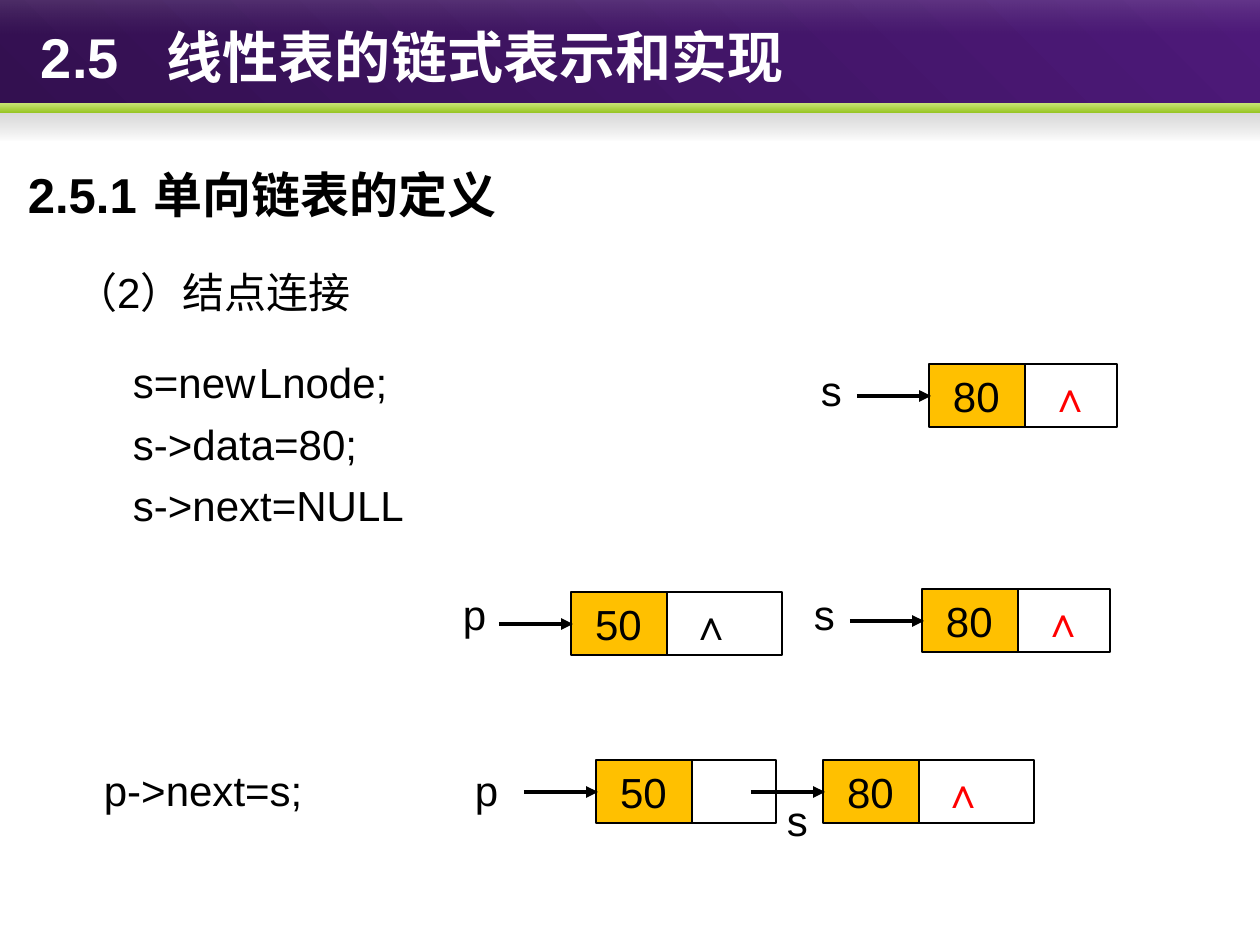
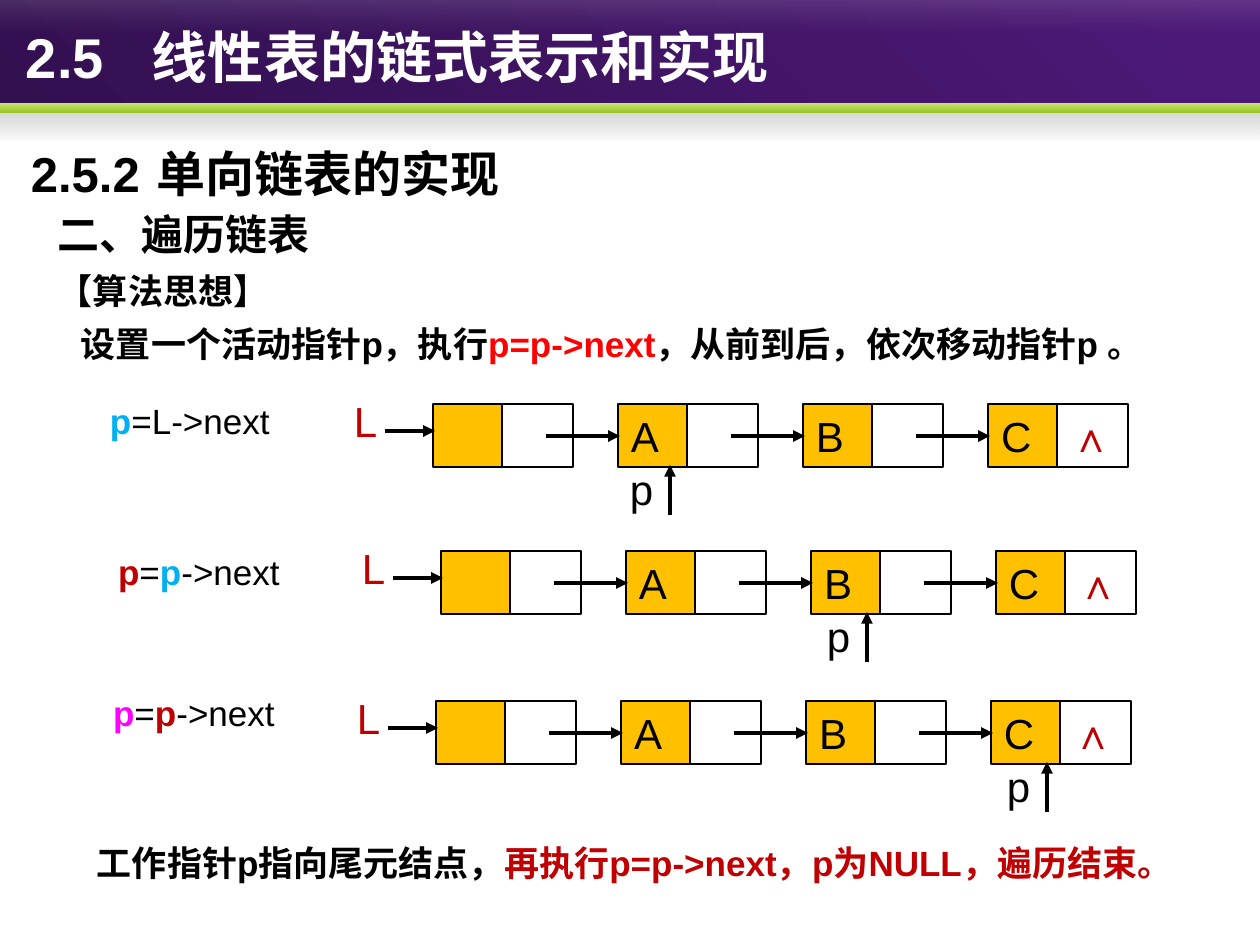
from lxml.etree import SubElement
from pptx import Presentation
from pptx.dml.color import RGBColor
from pptx.enum.shapes import MSO_CONNECTOR, MSO_SHAPE
from pptx.enum.text import MSO_ANCHOR, MSO_AUTO_SIZE, PP_ALIGN
from pptx.oxml.ns import qn
from pptx.util import Emu, Pt

COLORS = {
    "black": "000000", "white": "FFFFFF", "gold": "FFC000",
    "red": "FF0000", "dark red": "C00000", "blue": "00B0F0", "pink": "FF00FF",
    "purple start": "331050", "purple end": "4D1979",
    "green start": "C9E576", "green end": "97C523",
    "shade start": "808080", "shade end": "5C5C5C", "gloss end": "B6B6B6",
}
FONT = "Arial"
SLIDE_WIDTH, SLIDE_HEIGHT = 1260, 945
INSET = 13
CELL_HEIGHT = 63


def px(value):
    return Emu(round(value * 914400 / 126))


def rgb(name):
    return RGBColor.from_string(COLORS[name])


class Deck:
    def __init__(self):
        self.presentation = Presentation()
        self.presentation.slide_width = px(SLIDE_WIDTH)
        self.presentation.slide_height = px(SLIDE_HEIGHT)
        self.slide = None

    # Slide frame: header bands, title and section heading
    def new_slide(self, title_left, heading, heading_left, heading_top):
        layout = self.presentation.slide_layouts[5]
        self.slide = self.presentation.slides.add_slide(layout)
        self.band(0, 113, "purple start", "purple end", angle=45)
        self.band(111, 30, "shade start", "shade end", alphas=(33, 0))
        self.band(103, 10, "green start", "green end")
        self.band(0, 35, "white", "gloss end", alphas=(13, 0))

        title = self.slide.shapes.title
        self.slide.shapes.element.append(title.element)
        title.left, title.top = px(title_left), px(0)
        title.width, title.height = px(SLIDE_WIDTH - title_left), px(113)
        self.frame(title, anchor=MSO_ANCHOR.MIDDLE)
        self.paragraph(title, [("2.5\t线性表的链式表示和实现", "white", True)],
                       size=32, tab=121)
        self.text(heading_left, heading_top, 871, 102,
                  [(heading, "black", True)], size=28, spacing=1.5, tab=148)

    def band(self, top, height, start, end, angle=270, alphas=None):
        shape = self.rectangle(0, top, SLIDE_WIDTH, height)
        shape.line.fill.background()
        shape.fill.gradient()
        shape.fill.gradient_angle = angle
        for stop, position, color in zip(shape.fill.gradient_stops, (0, 1), (start, end)):
            stop.position = position
            stop.color.rgb = rgb(color)
        if alphas:
            for color, alpha in zip(shape.element.iter(qn("a:srgbClr")), alphas):
                SubElement(color, qn("a:alpha"), val=str(alpha * 1000))

    def rectangle(self, left, top, width, height):
        shape = self.slide.shapes.add_shape(
            MSO_SHAPE.RECTANGLE, px(left), px(top), px(width), px(height))
        shape.shadow.inherit = False
        return shape

    # Text
    def frame(self, shape, inset=INSET, anchor=MSO_ANCHOR.TOP):
        frame = shape.text_frame
        frame.word_wrap = True
        frame.auto_size = MSO_AUTO_SIZE.NONE
        frame.vertical_anchor = anchor
        frame.margin_left = px(inset)
        frame.margin_right = px(min(inset, INSET))
        frame.margin_top = frame.margin_bottom = px(6 if inset else 0)

    def paragraph(self, shape, runs, size=24, spacing=None, tab=None,
                  margin=0, indent=0):
        frame = shape.text_frame
        first = frame.paragraphs[0]
        paragraph = frame.add_paragraph() if first.runs else first
        paragraph.alignment = PP_ALIGN.LEFT
        if spacing:
            paragraph.line_spacing = spacing
        properties = paragraph._p.get_or_add_pPr()
        properties.set("marL", str(px(margin)))
        properties.set("indent", str(px(indent)))
        if tab:
            tabs = SubElement(properties, qn("a:tabLst"))
            SubElement(tabs, qn("a:tab"), pos=str(px(tab)), algn="l")
        for words, color, bold in runs:
            run = paragraph.add_run()
            run.text = words
            run.font.name = FONT
            run.font.size = Pt(size)
            run.font.bold = bold
            run.font.color.rgb = rgb(color)

    def text_box(self, left, top, width, height, inset=INSET):
        shape = self.slide.shapes.add_textbox(px(left), px(top), px(width), px(height))
        self.frame(shape, inset)
        return shape

    def text(self, left, top, width, height, runs, inset=INSET, **style):
        shape = self.text_box(left, top, width, height, inset)
        self.paragraph(shape, runs, **style)

    def label(self, left, top, letter, color="black"):
        self.text(left, top, 50, CELL_HEIGHT, [(letter, color, False)])

    # Linked list parts
    def cell(self, left, top, width, words="", color="black", bold=False,
             filled=False, inset=INSET):
        shape = self.rectangle(left, top, width, CELL_HEIGHT)
        if filled:
            shape.fill.solid()
            shape.fill.fore_color.rgb = rgb("gold")
        else:
            shape.fill.background()
        shape.line.color.rgb = rgb("black")
        shape.line.width = Pt(1.5)
        if words:
            self.frame(shape, inset, MSO_ANCHOR.MIDDLE)
            shape.text_frame.margin_right = 0
            self.paragraph(shape, [(words, color, bold)])

    def node(self, left, top, data, data_width, next_width, end_color=None, inset=INSET):
        self.cell(left, top, data_width, data, filled=True, inset=inset)
        self.cell(left + data_width, top, next_width, "∧" if end_color else "",
                  end_color, bold=True, inset=inset)

    def arrow(self, start_x, start_y, end_x, end_y):
        connector = self.slide.shapes.add_connector(
            MSO_CONNECTOR.STRAIGHT, px(start_x), px(start_y), px(end_x), px(end_y))
        connector.line.color.rgb = rgb("black")
        connector.line.width = Pt(2.25)
        SubElement(connector.line._get_or_add_ln(), qn("a:tailEnd"), type="triangle")
        SubElement(connector.element.spPr, qn("a:effectLst"))

    def link_into(self, left, top):
        self.arrow(left - 72, top + 32, left + 2, top + 32)

    def traversal_row(self, left, top, code_top, code, pointer_left):
        self.text(left - 336, code_top, 210, 55, code, size=20)
        self.label(left - 92, top - 14, "L", "dark red")
        for index, data in enumerate(["", "A", "B", "C"]):
            self.node(left + index * 185, top, data, 69, 71,
                      "dark red" if data == "C" else None)
        self.arrow(left - 48, top + 27, left + 2, top + 27)
        for index in range(1, 4):
            self.link_into(left + index * 185, top)
        self.text(pointer_left, top + 60, 26, 50, [("p", "black", False)], inset=0)
        self.arrow(pointer_left + 40, top + 111, pointer_left + 40, top + 61)


def build_node_linking(deck):
    deck.new_slide(28, "2.5.1\t单向链表的定义", 15, 129)
    deck.text(62, 261, 850, 79, [("（2）结点连接", "black", False)])

    # Code for making the node
    code = deck.text_box(120, 340, 340, 173)
    for line in ["s=new\tLnode;", "s->data=80;", "s->next=NULL"]:
        deck.paragraph(code, [(line, "black", False)], spacing=Pt(35), tab=145)
    deck.text(91, 759, 350, 59, [("p->next=s;", "black", False)])

    # Nodes: left, top, data, width of next field, colour of end mark
    for left, top, data, next_width, end_color in [
        (929, 364, "80", 92, "red"),
        (571, 592, "50", 115, "black"),
        (922, 589, "80", 92, "red"),
        (596, 760, "50", 84, None),
        (823, 760, "80", 115, "red"),
    ]:
        deck.node(left, top, data, 96, next_width, end_color, inset=24)
        deck.link_into(left, top)

    # Pointer names
    for left, top, letter in [(808, 359, "s"), (450, 583, "p"), (801, 583, "s"),
                              (462, 759, "p"), (774, 789, "s")]:
        deck.label(left, top, letter)


def build_traversal(deck):
    deck.new_slide(13, "2.5.2\t单向链表的实现", 18, 108)

    # Idea of the algorithm
    idea = deck.text_box(20, 203, 1186, 161)
    deck.paragraph(idea, [("二、遍历链表", "black", True)], margin=25)
    deck.paragraph(idea, [("【算法思想】", "black", True)],
                   size=20, spacing=Pt(30), margin=25)
    deck.paragraph(idea, [("设置一个活动指针p，执行", "black", True),
                          ("p=p->next", "red", True),
                          ("，从前到后，依次移动指针p 。", "black", True)],
                   size=20, spacing=Pt(30), margin=25, indent=23)

    # Steps of the traversal
    deck.traversal_row(433, 404, 393, [("p", "blue", True),
                                       ("=L->next", "black", False)], 630)
    for left, top, code_top, target, source, pointer_left in [
        (441, 551, 544, "dark red", "blue", 827),
        (436, 701, 685, "pink", "dark red", 1007),
    ]:
        code = [("p", target, True), ("=", "black", False),
                ("p", source, True), ("->next", "black", False)]
        deck.traversal_row(left, top, code_top, code, pointer_left)

    # Conclusion
    deck.text(84, 835, 1085, 96,
              [("工作指针p指向尾元结点，", "black", True),
               ("再执行p=p->next，p为NULL，遍历结束。", "dark red", True)], size=20)


def main():
    deck = Deck()
    build_node_linking(deck)
    build_traversal(deck)
    deck.presentation.save("out.pptx")


if __name__ == "__main__":
    main()
